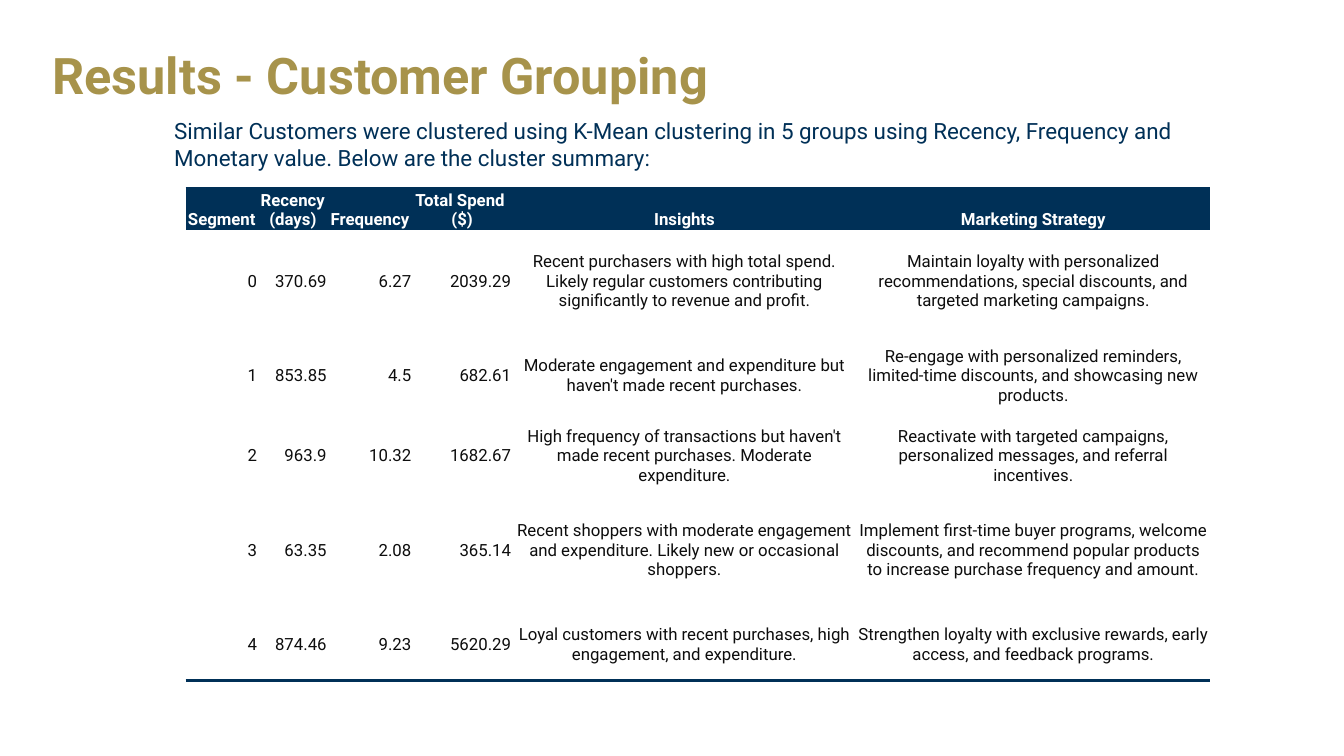
from dataclasses import dataclass

from lxml.etree import SubElement
from pptx import Presentation
from pptx.dml.color import RGBColor
from pptx.enum.text import MSO_ANCHOR, MSO_AUTO_SIZE, PP_ALIGN
from pptx.oxml import parse_xml
from pptx.oxml.ns import nsdecls, qn
from pptx.util import Inches, Pt


@dataclass(frozen=True)
class Theme:
    font: str = "Roboto"
    gold: str = "A7934B"
    navy: str = "003057"
    ink: str = "0D0D0D"
    white: str = "FFFFFF"
    title_size: int = 36
    intro_size: int = 16
    table_size: int = 12
    rule_width: int = 2
    plain_table_style: str = "{2D5ABB26-0587-4C30-8999-92F81FD0307C}"


HEADERS = ["Segment", "Recency\n(days)", "Frequency", "Total Spend \n($)",
           "Insights", "Marketing Strategy"]
SEGMENTS = [
    ["0", "370.69", "6.27", "2039.29",
     "Recent purchasers with high total spend. Likely regular customers "
     "contributing significantly to revenue and profit.",
     "Maintain loyalty with personalized recommendations, special discounts, "
     "and targeted marketing campaigns."],
    ["1", "853.85", "4.5", "682.61",
     "Moderate engagement and expenditure but haven't made recent purchases.",
     "Re-engage with personalized reminders, limited-time discounts, "
     "and showcasing new products."],
    ["2", "963.9", "10.32", "1682.67",
     "High frequency of transactions but haven't made recent purchases. "
     "Moderate expenditure.",
     "Reactivate with targeted campaigns, personalized messages, "
     "and referral incentives."],
    ["3", "63.35", "2.08", "365.14",
     "Recent shoppers with moderate engagement and expenditure. "
     "Likely new or occasional shoppers.",
     "Implement first-time buyer programs, welcome discounts, and recommend "
     "popular products to increase purchase frequency and amount."],
    ["4", "874.46", "9.23", "5620.29",
     "Loyal customers with recent purchases, high engagement, and expenditure.",
     "Strengthen loyalty with exclusive rewards, early access, "
     "and feedback programs."],
]
COLUMN_WIDTHS = [0.72, 0.69, 0.84, 0.99, 3.42, 3.5]
ROW_HEIGHTS = [0.41, 1.01, 0.87, 0.72, 1.15, 0.72]
NUMBER_COLUMNS = 4


def set_all(target, values):
    for name, value in values.items():
        setattr(target, name, value)


class SlideBuilder:
    def __init__(self, page, theme):
        self.page = page
        self.theme = theme

    def fill_text(self, frame, text, size, color, bold=False,
                  **paragraph_format):
        frame.text = text
        for para in frame.paragraphs:
            set_all(para, paragraph_format)
            for span in para.runs:
                set_all(span.font, {"name": self.theme.font, "size": Pt(size),
                                    "bold": bold})
                span.font.color.rgb = RGBColor.from_string(color)

    def title(self, text, left, top, width, height):
        box = self.page.shapes.title
        set_all(box, {"left": Inches(left), "top": Inches(top),
                      "width": Inches(width), "height": Inches(height)})
        set_all(box.text_frame, {"vertical_anchor": MSO_ANCHOR.MIDDLE,
                                 "word_wrap": True,
                                 "auto_size": MSO_AUTO_SIZE.NONE})
        self.fill_text(box.text_frame, text, self.theme.title_size,
                       self.theme.gold, bold=True, alignment=PP_ALIGN.LEFT,
                       line_spacing=0.9)

    def intro(self, text, left, top, width, height):
        box = self.page.shapes.add_textbox(
            Inches(left), Inches(top), Inches(width), Inches(height))
        set_all(box.text_frame, {"word_wrap": True,
                                 "auto_size": MSO_AUTO_SIZE.SHAPE_TO_FIT_TEXT})
        self.fill_text(box.text_frame, text, self.theme.intro_size,
                       self.theme.navy)

    def rule(self, cell, side):
        """Draw a navy border on one side of a cell: T or B."""
        line = parse_xml(f'<a:ln{side} {nsdecls("a")} '
                         f'w="{Pt(self.theme.rule_width)}"/>')
        fill = SubElement(line, qn("a:solidFill"))
        SubElement(fill, qn("a:srgbClr"), val=self.theme.navy)
        cell._tc.get_or_add_tcPr().insert(0, line)

    def cell(self, cell, text, is_header, is_number):
        theme = self.theme
        set_all(cell, {
            "margin_left": Inches(0.01), "margin_right": Inches(0.01),
            "margin_top": Inches(0.01), "margin_bottom": 0,
            "vertical_anchor":
                MSO_ANCHOR.BOTTOM if is_header else MSO_ANCHOR.MIDDLE})
        cell.fill.solid()
        cell.fill.fore_color.rgb = RGBColor.from_string(
            theme.navy if is_header else theme.white)
        self.fill_text(
            cell.text_frame, text, theme.table_size,
            theme.white if is_header else theme.ink, bold=is_header,
            alignment=PP_ALIGN.RIGHT if is_number else PP_ALIGN.CENTER)

    def table(self, rows, left, top, widths, heights):
        table = self.page.shapes.add_table(
            len(rows), len(widths), Inches(left), Inches(top),
            Inches(sum(widths)), Inches(sum(heights))).table
        set_all(table, {"first_row": False, "horz_banding": False})
        style = table._tbl.tblPr.find(qn("a:tableStyleId"))
        style.text = self.theme.plain_table_style
        for column, width in zip(table.columns, widths):
            column.width = Inches(width)
        for row, height in zip(table.rows, heights):
            row.height = Inches(height)
        for r, texts in enumerate(rows):
            for c, text in enumerate(texts):
                self.cell(table.cell(r, c), text, is_header=r == 0,
                          is_number=r > 0 and c < NUMBER_COLUMNS)
        for c in range(len(widths)):
            self.rule(table.cell(0, c), "T")
            self.rule(table.cell(len(rows) - 1, c), "B")


def main():
    deck = Presentation()
    set_all(deck, {"slide_width": Inches(13.33), "slide_height": Inches(7.5)})
    page = deck.slides.add_slide(deck.slide_layouts.get_by_name("Title Only"))
    builder = SlideBuilder(page, Theme())
    builder.title("Results - Customer Grouping", 0.42, 0.22, 12.5, 1.11)
    builder.intro("Similar Customers were clustered using K-Mean clustering in "
                  "5 groups using Recency, Frequency and Monetary value. "
                  "Below are the cluster summary:", 1.63, 1.11, 10.44, 0.64)
    builder.table([HEADERS, *SEGMENTS], 1.84, 1.87, COLUMN_WIDTHS, ROW_HEIGHTS)
    deck.save("out.pptx")


if __name__ == "__main__":
    main()
